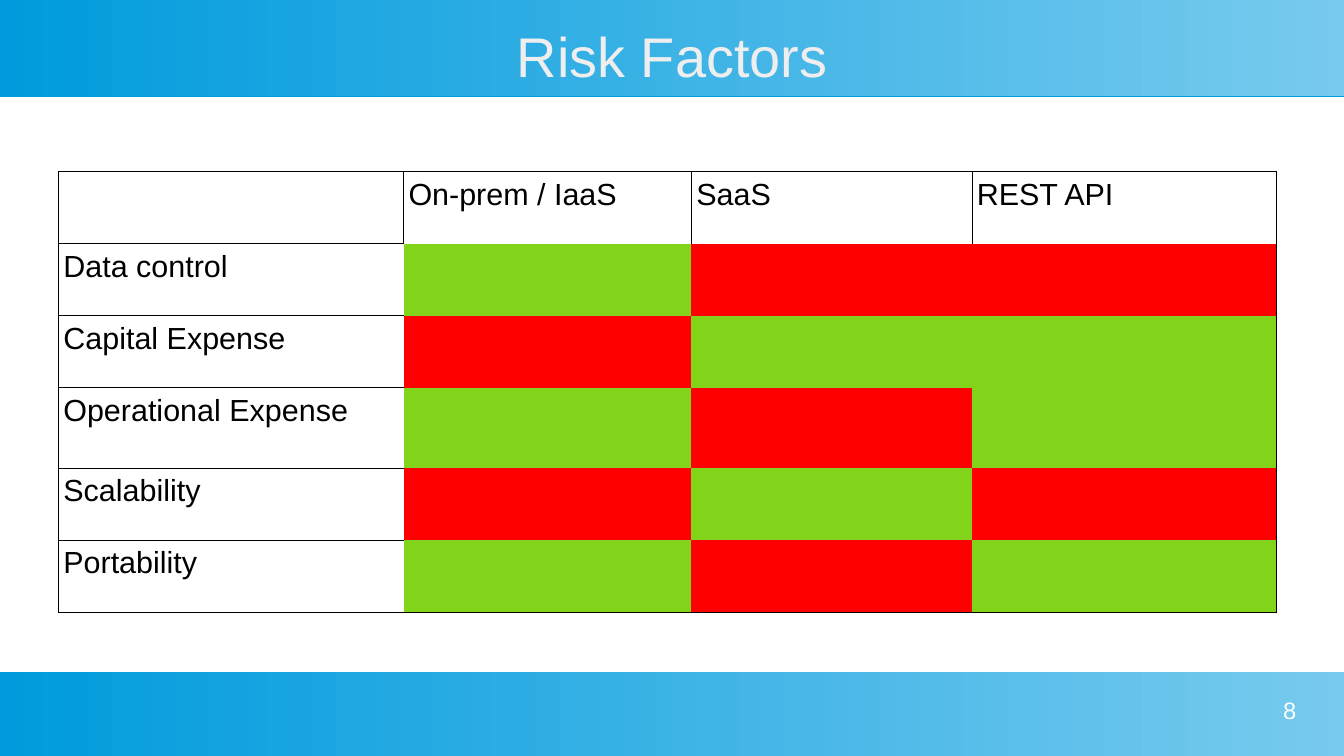
"""Build the Risk Factors slide with a red and green rating table."""
from lxml import etree
from pptx import Presentation, util as u
from pptx.dml.color import RGBColor
from pptx.enum import shapes, text
from pptx.oxml.ns import qn

GREEN, RED, BLACK = "81D41A", "FF0000", "000000"
HEADERS = ["", "On-prem / IaaS", "SaaS", "REST API"]
RATINGS = [
    ("Data control", GREEN, RED, RED),
    ("Capital Expense", RED, GREEN, GREEN),
    ("Operational Expense", GREEN, RED, GREEN),
    ("Scalability", RED, GREEN, RED),
    ("Portability", GREEN, RED, GREEN),
]


def colour(hex_value):
    return RGBColor.from_string(hex_value)


class SlideBuilder:
    font = "Arial"
    band_start, band_end = "009BDD", "77CAEE"
    border_width = 0.57

    def __init__(self, deck):
        self.width = deck.slide_width
        self.page = deck.slides.add_slide(deck.slide_layouts[5])

    def set_words(self, frame, words, size, hex_value, align):
        frame.text = words
        para = frame.paragraphs[0]
        para.alignment = align
        for span in para.runs:
            span.font.name = self.font
            span.font.size = u.Pt(size)
            span.font.color.rgb = colour(hex_value)

    def clear_margins(self, frame):
        frame.margin_left = frame.margin_right = 0
        frame.margin_top = frame.margin_bottom = 0
        frame.word_wrap = True
        frame.auto_size = text.MSO_AUTO_SIZE.NONE

    def band(self, top, height):
        box = self.page.shapes.add_shape(
            shapes.MSO_SHAPE.RECTANGLE, 0, u.Inches(top), self.width, u.Inches(height))
        box.shadow.inherit = False
        box.line.fill.background()
        box.fill.gradient()
        box.fill.gradient_angle = 0
        for stop, hex_value in zip(box.fill.gradient_stops, (self.band_start, self.band_end)):
            stop.color.rgb = colour(hex_value)
        self.page.shapes._spTree.insert(2, box._element)

    def rule(self, top):
        line = self.page.shapes.add_connector(
            shapes.MSO_CONNECTOR.STRAIGHT, 0, u.Inches(top), self.width, u.Inches(top))
        line.line.color.rgb = colour(self.band_start)
        line.line.width = u.Pt(0.9)
        etree.SubElement(line._element.spPr, qn("a:effectLst"))

    def title(self, words, left, top, width, height):
        box = self.page.shapes.title
        box.left, box.top = u.Inches(left), u.Inches(top)
        box.width, box.height = u.Inches(width), u.Inches(height)
        self.clear_margins(box.text_frame)
        box.text_frame.vertical_anchor = text.MSO_ANCHOR.MIDDLE
        self.set_words(box.text_frame, words, 33, "EEEEEE", text.PP_ALIGN.CENTER)

    def page_number(self, words, left, top, width, height):
        box = self.page.shapes.add_textbox(*map(u.Inches, (left, top, width, height)))
        self.clear_margins(box.text_frame)
        self.set_words(box.text_frame, words, 14, "FFFFFF", text.PP_ALIGN.RIGHT)

    def borders(self, cell, visible):
        props = cell._tc.get_or_add_tcPr()
        for index, (side, shown) in enumerate(visible.items()):
            edge = etree.Element(qn(f"a:ln{side}"), w=str(u.Pt(self.border_width)))
            if shown:
                fill = etree.SubElement(edge, qn("a:solidFill"))
                etree.SubElement(fill, qn("a:srgbClr"), val=BLACK)
            else:
                etree.SubElement(edge, qn("a:noFill"))
            props.insert(index, edge)

    def rating_table(self, left, top, widths, heights):
        rows, columns = len(heights), len(widths)
        table = self.page.shapes.add_table(
            rows, columns, u.Inches(left), u.Inches(top),
            u.Inches(sum(widths)), u.Inches(sum(heights))).table
        table.first_row = table.horz_banding = False
        for column, width in zip(table.columns, widths):
            column.width = u.Inches(width)
        for row, height in zip(table.rows, heights):
            row.height = u.Inches(height)
        for r, values in enumerate([HEADERS, *RATINGS]):
            for c, value in enumerate(values):
                cell = table.cell(r, c)
                cell.margin_left = cell.margin_right = u.Inches(0.04)
                cell.margin_top = cell.margin_bottom = u.Inches(0.05)
                if r == 0 or c == 0:
                    cell.fill.background()
                    self.set_words(cell.text_frame, value, 18, BLACK, text.PP_ALIGN.LEFT)
                else:
                    cell.fill.solid()
                    cell.fill.fore_color.rgb = colour(value)
                self.borders(cell, {
                    "L": r == 0 or c == 0,
                    "R": r == 0 or c == columns - 1,
                    "T": r == 0 or c == 0,
                    "B": c == 0 or r == rows - 1,
                })


def main():
    deck = Presentation()
    deck.slide_width, deck.slide_height = u.Inches(11.02), u.Inches(6.2)
    slide = SlideBuilder(deck)
    slide.band(0, 0.79)
    slide.band(5.51, 0.69)
    slide.rule(0.79)
    slide.title("Risk Factors", 0.39, 0.18, 10.24, 0.55)
    slide.rating_table(0.48, 1.41, [2.83, 2.36, 2.3, 2.5],
                       [0.59, 0.59, 0.59, 0.66, 0.59, 0.59])
    slide.page_number("8", 8.07, 5.71, 2.56, 0.39)
    deck.save("out.pptx")


if __name__ == "__main__":
    main()
